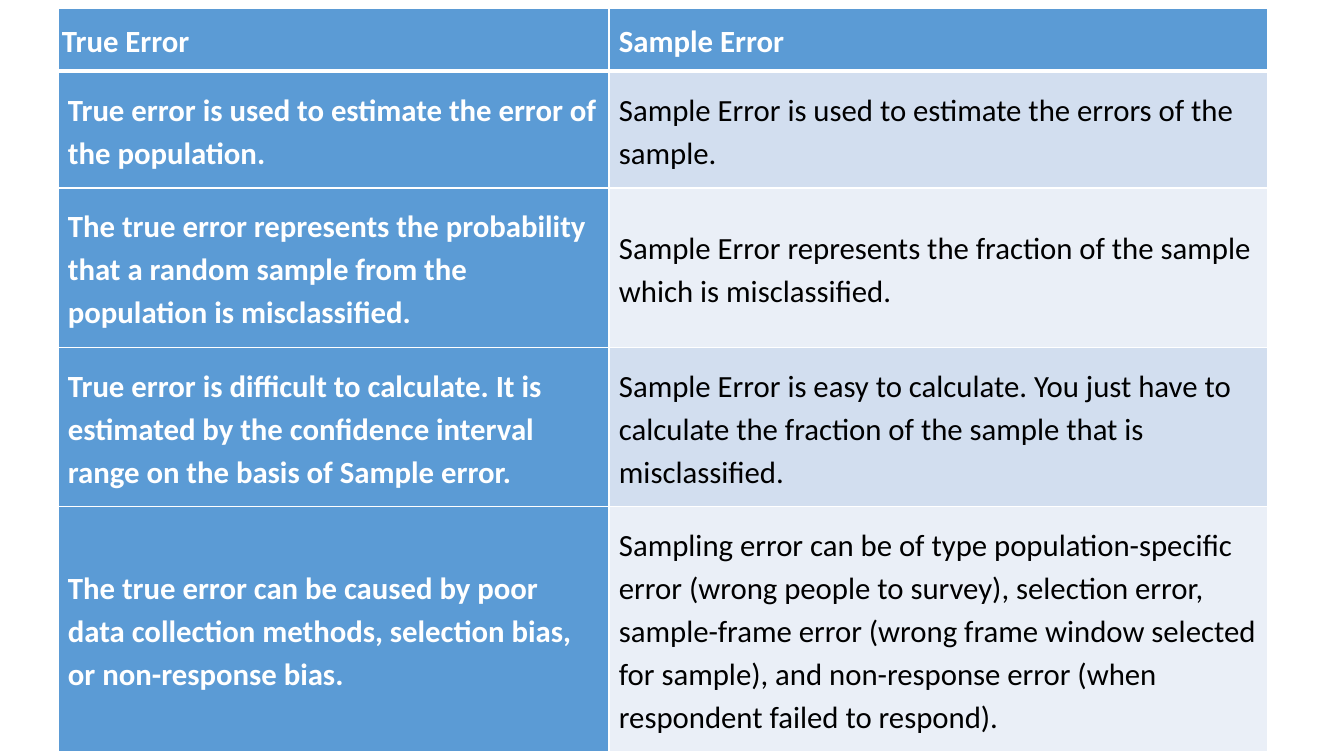
from dataclasses import dataclass

from lxml.etree import SubElement
from pptx import Presentation
from pptx.dml.color import RGBColor as RGB
from pptx.enum.text import MSO_ANCHOR as Anchor
from pptx.oxml.ns import qn
from pptx.util import Emu, Pt


@dataclass(frozen=True)
class Theme:
    font: str = "Calibri"
    size: int = 22
    blue: str = "5B9BD5"
    bands: tuple = ("D2DEEF", "EAEFF7")
    white: str = "FFFFFF"
    black: str = "000000"
    thin: int = 1
    thick: int = 3


THEME = Theme()
SCALE = 914400 / 100.8
LEFT, TOP = 58, 8
COLS = (551, 659)
ROWS = (63, 117, 102, 149, 197)
CELLS = (
    ("True Error", "Sample Error"),
    ("True error is used to estimate the error of the population.",
     "Sample Error is used to estimate the errors of the sample."),
    ("The true error represents the probability that a random sample "
     "from the population is misclassified.",
     "Sample Error represents the fraction of the sample which is "
     "misclassified."),
    ("True error is difficult to calculate. It is estimated by the "
     "confidence interval range on the basis of Sample error.",
     "Sample Error is easy to calculate. You just have to calculate the "
     "fraction of the sample that is misclassified."),
    ("The true error can be caused by poor data collection methods, "
     "selection bias, or non-response bias.",
     "Sampling error can be of type population-specific error (wrong people "
     "to survey), selection error, sample-frame error (wrong frame window "
     "selected for sample), and non-response error (when respondent failed "
     "to respond)."),
)


def px(num):
    return Emu(round(num * SCALE))


def put_text(frame, text, *, color, bold):
    para = frame.paragraphs[0]
    para.line_spacing = 1.15
    para.space_after = Pt(10)
    run = para.add_run()
    run.text = text
    font = run.font
    font.name, font.size, font.bold = THEME.font, Pt(THEME.size), bold
    font.color.rgb = RGB.from_string(color)


def set_edges(cell, top, base):
    """Draw white cell borders; must run before the fill is set."""
    props = cell._tc.get_or_add_tcPr()
    widths = {"L": THEME.thin, "R": THEME.thin, "T": top, "B": base}
    for side, width in widths.items():
        line = SubElement(props, qn(f"a:ln{side}"), w=str(Pt(width)))
        fill = SubElement(line, qn("a:solidFill"))
        SubElement(fill, qn("a:srgbClr"), val=THEME.white)


def set_cell(cell, text, row, col):
    head = row == 0
    strong = head or col == 0
    set_edges(cell,
              THEME.thick if row == 1 else THEME.thin,
              THEME.thick if head else THEME.thin)
    cell.fill.solid()
    shade = THEME.blue if strong else THEME.bands[(row - 1) % 2]
    cell.fill.fore_color.rgb = RGB.from_string(shade)
    cell.vertical_anchor = Anchor.BOTTOM if head else Anchor.MIDDLE
    cell.margin_left = cell.margin_right = px(4 if head and col == 0 else 10)
    cell.margin_top = cell.margin_bottom = px(10 if head else 15)
    put_text(cell.text_frame, text, bold=strong,
             color=THEME.white if strong else THEME.black)


def add_grid(slide):
    frame = slide.shapes.add_table(len(ROWS), len(COLS), px(LEFT), px(TOP),
                                   px(sum(COLS)), px(sum(ROWS)))
    table = frame.table
    table.first_col = True
    for col, width in zip(table.columns, COLS):
        col.width = px(width)
    for row, height in zip(table.rows, ROWS):
        row.height = px(height)
    for i, texts in enumerate(CELLS):
        for j, text in enumerate(texts):
            set_cell(table.cell(i, j), text, i, j)


def main():
    deck = Presentation()
    deck.slide_width, deck.slide_height = px(1344), px(756)
    add_grid(deck.slides.add_slide(deck.slide_layouts[6]))
    deck.save("out.pptx")


if __name__ == "__main__":
    main()
